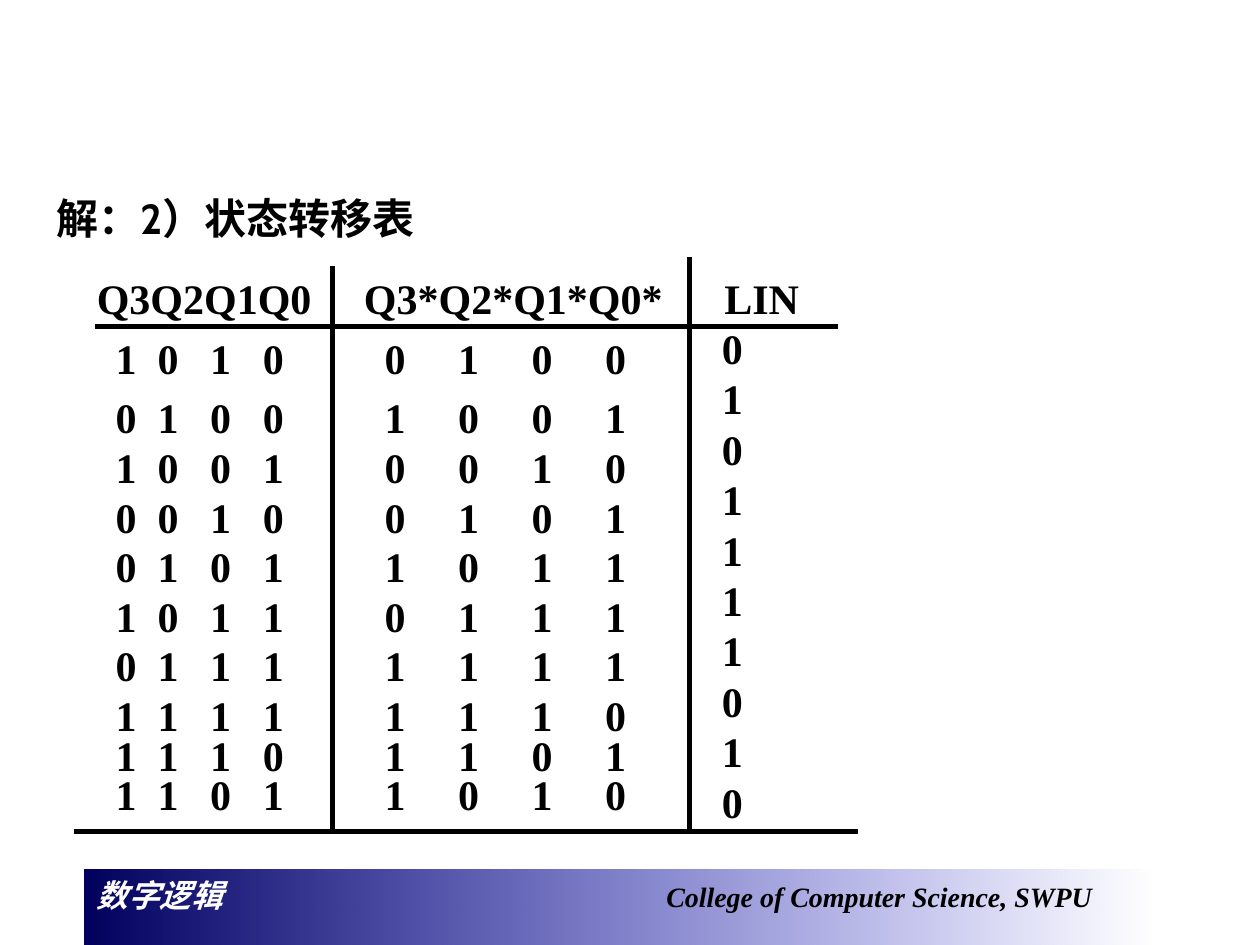
from dataclasses import dataclass
from itertools import accumulate

from lxml import etree
from pptx import Presentation
from pptx import util as u
from pptx.dml.color import RGBColor
from pptx.enum import shapes, text
from pptx.oxml.ns import qn

SERIF, SANS = "Times New Roman", "Cabin"
BLACK, WHITE, NAVY, BLUE = "000000", "FFFFFF", "00005E", "0000CC"
LINE_HEIGHT = 28.8  # points

deck = Presentation()
deck.slide_width, deck.slide_height = u.Inches(10), u.Inches(7.5)
CELL = deck.slide_width / 100  # the grid has 100 columns and 75 rows
slide = deck.slides.add_slide(deck.slide_layouts[5])


@dataclass
class Area:
    col: float
    row: float
    cols: float
    rows: float

    def emu(self) -> list[int]:
        return [cells(n) for n in (self.col, self.row, self.cols, self.rows)]


@dataclass
class Rule:
    start: tuple[float, float]
    end: tuple[float, float]


@dataclass
class StateColumn:
    col: float
    cols: float
    inset: float
    tabs: list[float]
    states: list[str]


def cells(count: float) -> int:
    return round(count * CELL)


def colour(code: str) -> RGBColor:
    return RGBColor.from_string(code)


def format_run(run, size: float, font: str, code: str, italic: bool = False) -> None:
    run.font.size, run.font.name = u.Pt(size), font
    run.font.bold, run.font.italic = True, italic
    run.font.color.rgb = colour(code)


def set_tabs(paragraph, stops: list[float]) -> None:
    tab_list = etree.SubElement(paragraph._p.get_or_add_pPr(), qn("a:tabLst"))
    for stop in stops:
        etree.SubElement(tab_list, qn("a:tab"), pos=str(cells(stop)), algn="l")


def prepare_frame(frame, inset: float = 1) -> None:
    frame.word_wrap = True
    frame.auto_size = text.MSO_AUTO_SIZE.SHAPE_TO_FIT_TEXT
    frame.vertical_anchor = text.MSO_ANCHOR.TOP
    frame.margin_left, frame.margin_right = cells(inset), cells(1)
    frame.margin_top = frame.margin_bottom = cells(0.5)


def add_entry(area: Area, wording: str, tabs: list[float], inset: float = 1) -> None:
    frame = slide.shapes.add_textbox(*area.emu()).text_frame
    prepare_frame(frame, inset)
    frame.text = wording
    for paragraph in frame.paragraphs:
        paragraph.line_spacing = u.Pt(LINE_HEIGHT)
        if tabs:
            set_tabs(paragraph, tabs)
        for run in paragraph.runs:
            format_run(run, 24, SERIF, BLACK)


def add_rule(rule: Rule) -> None:
    ends = [cells(n) for n in (*rule.start, *rule.end)]
    line = slide.shapes.add_connector(shapes.MSO_CONNECTOR.STRAIGHT, *ends)
    line.line.color.rgb, line.line.width = colour(BLACK), u.Pt(3)
    etree.SubElement(line._element.spPr, qn("a:effectLst"))


def add_footer(area: Area) -> None:
    band = slide.shapes.add_shape(shapes.MSO_SHAPE.RECTANGLE, *area.emu())
    band.shadow.inherit = False
    band.line.fill.background()
    band.fill.gradient()
    band.fill.gradient_angle = 0
    for stop, position, code in zip(band.fill.gradient_stops, (0, 1), (NAVY, BLUE)):
        stop.position, stop.color.rgb = position, colour(code)
    # The right end of the band fades out
    last_colour = list(band._element.spPr.iter(qn("a:srgbClr")))[-1]
    etree.SubElement(last_colour, qn("a:alpha"), val="0")

    prepare_frame(band.text_frame)
    paragraph = band.text_frame.paragraphs[0]
    paragraph.alignment = text.PP_ALIGN.LEFT
    set_tabs(paragraph, [45.2])
    for wording, size, code in (("数字逻辑\t", 18, WHITE),
                                ("College of Computer Science, SWPU", 16, BLACK)):
        run = paragraph.add_run()
        run.text = wording
        format_run(run, size, SERIF, code, italic=True)


# Footer band
add_footer(Area(6.7, 69, 85, 7))

# Title
title = slide.shapes.title
title.left, title.top, title.width, title.height = Area(3.5, 14.8, 79.5, 5).emu()
prepare_frame(title.text_frame)
title.text_frame.text = "解：2）状态转移表"
heading = title.text_frame.paragraphs[0]
heading.alignment = text.PP_ALIGN.LEFT
format_run(heading.runs[0], 24, SANS, BLACK)

# Table rules
for rule in (Rule((7.5, 25.9), (66.5, 25.9)), Rule((5.9, 66), (68.1, 66)),
             Rule((26.4, 21.1), (26.4, 66)), Rule((54.7, 20.4), (54.7, 66))):
    add_rule(rule)

# Table header
add_entry(Area(6.7, 21.1, 62.2, 5), "Q3Q2Q1Q0\tQ3*Q2*Q1*Q0*\tLIN", [21.2, 49.8])

# Present and next states: each next state is the present state of the row below
sequence = "1010 0100 1001 0010 0101 1011 0111 1111 1110 1101 1010".split()
row_tops = list(accumulate([25.9, 4.7] + [3.94] * 6 + [3.15] * 2))
present = StateColumn(8.2, 18.1, 1, [3.33, 7.5, 11.67], sequence[:-1])
following = StateColumn(28.7, 25.2, 1.83, [5.83, 11.67, 17.5], sequence[1:])
for column in (present, following):
    for top, state in zip(row_tops, column.states):
        add_entry(Area(column.col, top, column.cols, 5), "\t".join(state),
                  column.tabs, column.inset)

# LIN outputs
add_entry(Area(56.3, 25.1, 9.5, 41), "\n".join("0101111010"), [])

deck.save("out.pptx")
